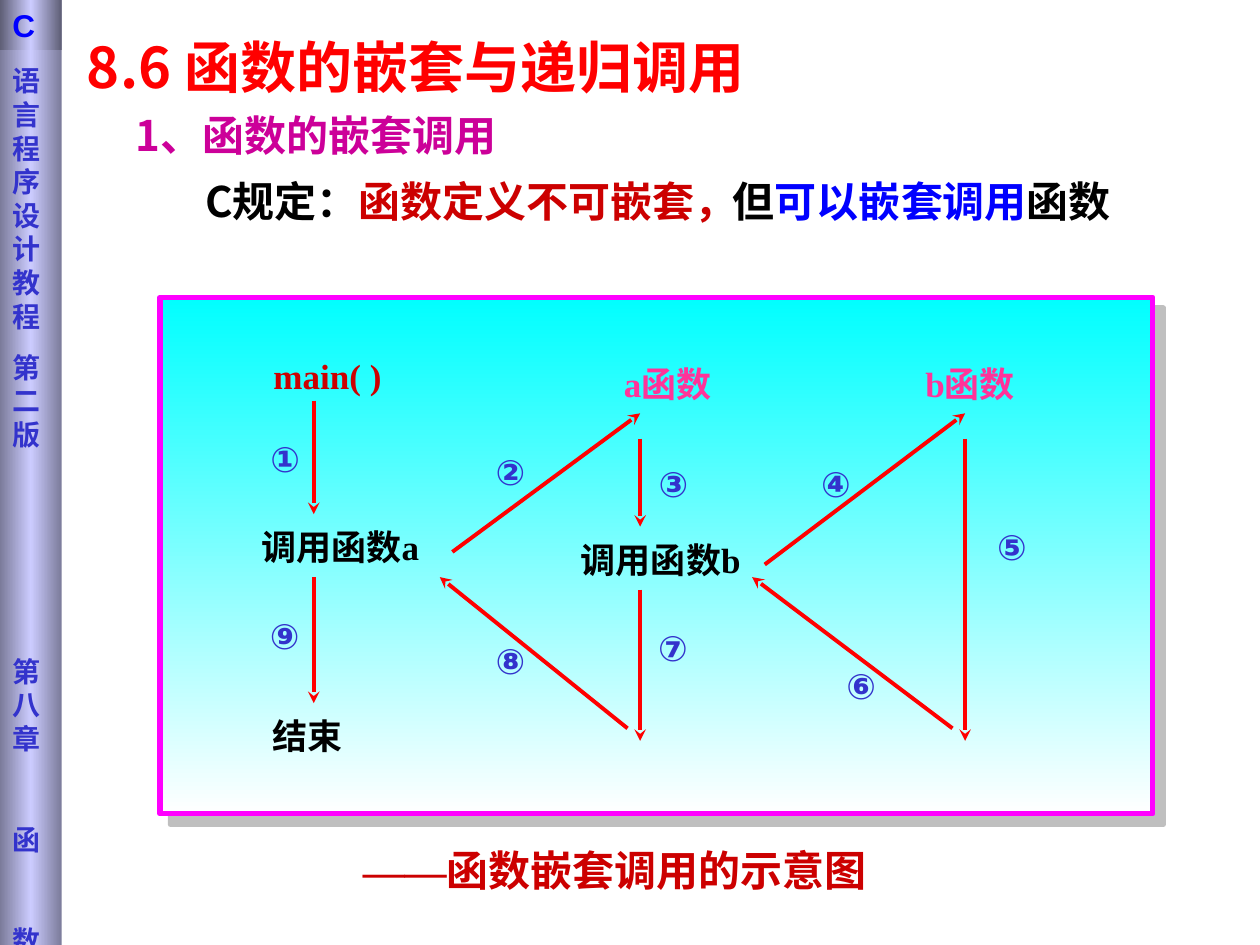
from copy import deepcopy

from lxml import etree
from pptx import Presentation
from pptx.dml.color import RGBColor
from pptx.enum.shapes import MSO_CONNECTOR, MSO_SHAPE
from pptx.enum.text import MSO_ANCHOR, MSO_AUTO_SIZE, PP_ALIGN
from pptx.oxml.ns import qn
from pptx.util import Pt

RECTANGLE = MSO_SHAPE.RECTANGLE
STRAIGHT = MSO_CONNECTOR.STRAIGHT
TOP, MIDDLE = MSO_ANCHOR.TOP, MSO_ANCHOR.MIDDLE
LEFT, CENTER = PP_ALIGN.LEFT, PP_ALIGN.CENTER
NO_AUTOSIZE = MSO_AUTO_SIZE.NONE

HAN, SERIF, SANS, SIDE = "Noto Sans CJK SC", "Times New Roman", "Arial", "DejaVu Sans"
COLORS = {
    "red": "FF0000", "dark red": "CC0000", "purple": "CC0099", "pink": "FF3399",
    "magenta": "FF00FF", "blue": "0000FF", "indigo": "3333CC", "black": "000000",
    "cyan": "00FFFF", "white": "FFFFFF", "lavender": "CCCCFF",
    "slate": "7B7B9A", "dark slate": "5E5E75", "gray": "808080",
}


def color(name):
    return RGBColor.from_string(COLORS[name])


class SlideBuilder:
    """Holds the text style and the current slide."""

    line_factor = 1.3
    insets = (7.2, 3.6, 7.2, 3.6)

    def __init__(self, slide):
        self.slide = slide

    def frame(self, shape, anchor=TOP, wrap=True, insets=insets):
        frame = shape.text_frame
        frame.auto_size = NO_AUTOSIZE
        frame.word_wrap = wrap
        frame.vertical_anchor = anchor
        (frame.margin_left, frame.margin_top,
         frame.margin_right, frame.margin_bottom) = [Pt(inset) for inset in insets]
        return frame

    def runs(self, paragraph, size, parts, align=LEFT):
        """Each part is text, colour, Latin font, East Asian font."""
        paragraph.alignment = align
        for text, tint, latin, asian in parts:
            run = paragraph.add_run()
            run.text = text
            font = run.font
            font.size, font.bold, font.name = Pt(size), True, latin
            font.color.rgb = color(tint)
            etree.SubElement(run._r.rPr, qn("a:ea"), typeface=asian)

    def title(self, box, size, parts):
        shape = self.slide.shapes.title
        shape.left, shape.top, shape.width, shape.height = map(Pt, box)
        self.line_of_text(shape, size, parts)

    def text(self, box, size, parts, wrap=True):
        shape = self.slide.shapes.add_textbox(*map(Pt, box))
        self.line_of_text(shape, size, parts, wrap)

    def line_of_text(self, shape, size, parts, wrap=True):
        paragraph = self.frame(shape, wrap=wrap).paragraphs[0]
        paragraph.line_spacing = Pt(size * self.line_factor)
        self.runs(paragraph, size, parts)

    def label(self, center_x, center_y, width, text, tint, latin=SERIF, asian=HAN):
        height = 31.7
        shape = self.slide.shapes.add_textbox(
            Pt(center_x - width / 2), Pt(center_y - height / 2), Pt(width), Pt(height))
        frame = self.frame(shape, MIDDLE, wrap=False)
        self.runs(frame.paragraphs[0], 20, [(text, tint, latin, asian)], CENTER)

    def panel(self, box, start, end, angle=0, mirrored=False):
        shape = self.slide.shapes.add_shape(RECTANGLE, *map(Pt, box))
        shape.shadow.inherit = False
        shape.line.fill.background()
        fill = shape.fill
        fill.gradient()
        fill.gradient_angle = angle
        for stop, tint in zip(fill.gradient_stops, (start, end)):
            stop.color.rgb = color(tint)
        if mirrored:
            stops = shape._element.spPr.find(".//" + qn("a:gsLst"))
            stops[1].set("pos", "50000")
            last = deepcopy(stops[0])
            last.set("pos", "100000")
            stops.append(last)
        return shape

    def drop_shadow(self, shape, distance):
        effects = shape._element.spPr.find(qn("a:effectLst"))
        shadow = etree.SubElement(effects, qn("a:outerShdw"), dist=str(Pt(distance)),
                                  dir="2700000", algn="tl", rotWithShape="0")
        tint = etree.SubElement(shadow, qn("a:srgbClr"), val=COLORS["gray"])
        etree.SubElement(tint, qn("a:alpha"), val="50000")

    def arrow(self, *ends):
        connector = self.slide.shapes.add_connector(STRAIGHT, *map(Pt, ends))
        connector.line.color.rgb = color("red")
        connector.line.width = Pt(2.25)
        line = connector.line._get_or_add_ln()
        etree.SubElement(line, qn("a:tailEnd"), type="stealth")
        etree.SubElement(connector._element.spPr, qn("a:effectLst"))


def main():
    presentation = Presentation()
    presentation.slide_width, presentation.slide_height = Pt(720), Pt(540)
    slide = presentation.slides.add_slide(presentation.slide_layouts[5])
    builder = SlideBuilder(slide)

    # Headings
    builder.title((42.5, 11.5, 470.9, 51.1), 32,
                  [("8.6 函数的嵌套与递归调用", "red", HAN, HAN)])
    builder.text((110.2, 94.3, 334.8, 64.8), 24,
                 [("C规定：", "black", HAN, HAN), ("函数定义不可嵌套，", "dark red", HAN, HAN)])
    builder.text((70.6, 56.9, 380.2, 36), 24, [("1、函数的嵌套调用", "purple", HAN, HAN)])
    builder.text((411.8, 94.3, 230.4, 36), 24,
                 [("但", "black", SERIF, HAN), ("可以嵌套调用", "blue", SERIF, HAN),
                  ("函数", "black", SERIF, HAN)], wrap=False)

    # Diagram panel
    panel = builder.panel((91.4, 169.9, 567.4, 295.2), "cyan", "white", angle=270)
    panel.line.color.rgb = color("magenta")
    panel.line.width = Pt(3)
    builder.drop_shadow(panel, 8.5)

    # Function names and steps
    for label in [
        (187.2, 214.6, 76.3, "main( )", "dark red"),
        (194.4, 312.5, 109.4, "调用函数a", "black"),
        (176, 420.5, 54, "结束", "black"),
        (381.6, 218.9, 69.1, "a函数", "pink"),
        (554.4, 218.9, 70.6, "b函数", "pink"),
        (377.6, 319.7, 110.2, "调用函数b", "black"),
    ]:
        builder.label(*label)

    # Arrows of the call sequence
    main_x, a_x, b_x = 179.3, 365.8, 551.5
    for arrow in [
        (main_x, 229, main_x, 293.8),
        (main_x, 329.8, main_x, 401.8),
        (258.5, 315.4, a_x, 236.2),
        (a_x, 250.6, a_x, 301),
        (a_x, 337, a_x, 423.4),
        (a_x - 7.2, 416.2, 251.3, 329.8),
        (437, 322.6, b_x, 236.2),
        (b_x, 250.6, b_x, 423.4),
        (b_x - 7.2, 416.2, 429.8, 329.8),
    ]:
        builder.arrow(*arrow)

    # Step numbers
    number_centers = [(163, 262.1), (291.6, 269.3), (384.8, 276.5), (477.7, 276.5),
                      (578.2, 312.5), (492.1, 391.7), (384.5, 370.1), (291.6, 377.3),
                      (162.7, 362.9)]
    for number, (x, y) in zip("①②③④⑤⑥⑦⑧⑨", number_centers):
        builder.label(x, y, 32, number, "indigo", SANS, SANS)

    # Caption
    builder.text((200.2, 476.6, 380.2, 36), 24,
                 [("——", "dark red", SERIF, SERIF),
                  ("函数嵌套调用的示意图", "dark red", SERIF, HAN)])

    # Sidebar, one character a line
    sidebar = builder.panel((0, 0, 35.3, 540), "slate", "lavender", mirrored=True)
    frame = builder.frame(sidebar, insets=(7.2, 36.6, 7.2, 0))
    entries = [("语言程序设计教程", 0), ("第二版", 10), ("第八章", 116.2),
               ("函", 38.5), ("数", 38.5)]
    for index, (text, gap) in enumerate(entries):
        paragraph = frame.add_paragraph() if index else frame.paragraphs[0]
        paragraph.line_spacing = Pt(19.2)
        paragraph.space_before = Pt(gap)
        builder.runs(paragraph, 16, [(text, "indigo", SIDE, HAN)])
    badge = builder.panel((0, 0, 35.3, 28.8), "dark slate", "lavender", mirrored=True)
    builder.runs(builder.frame(badge).paragraphs[0], 18, [("C", "blue", SANS, SANS)])

    presentation.save("out.pptx")


if __name__ == "__main__":
    main()
